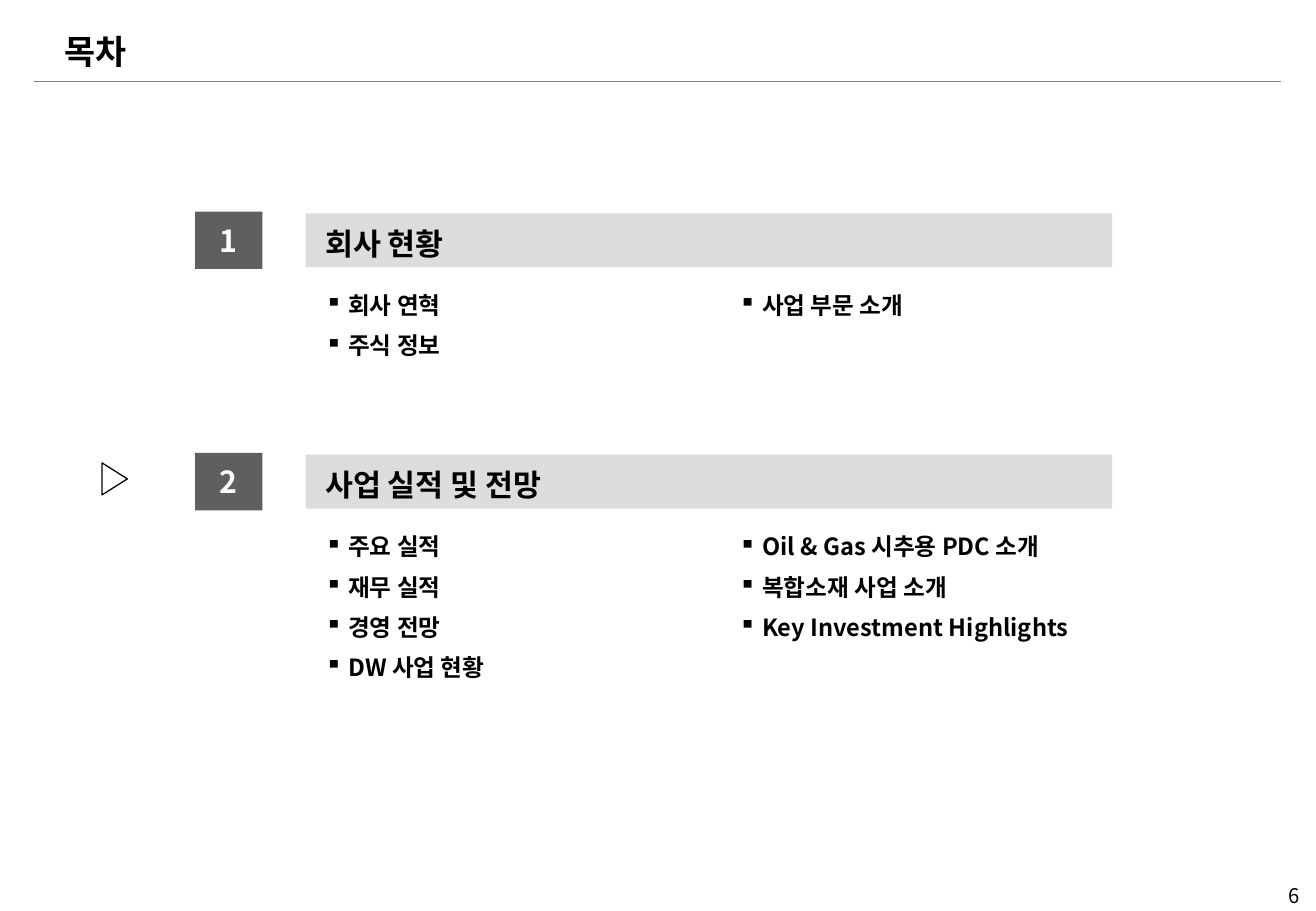
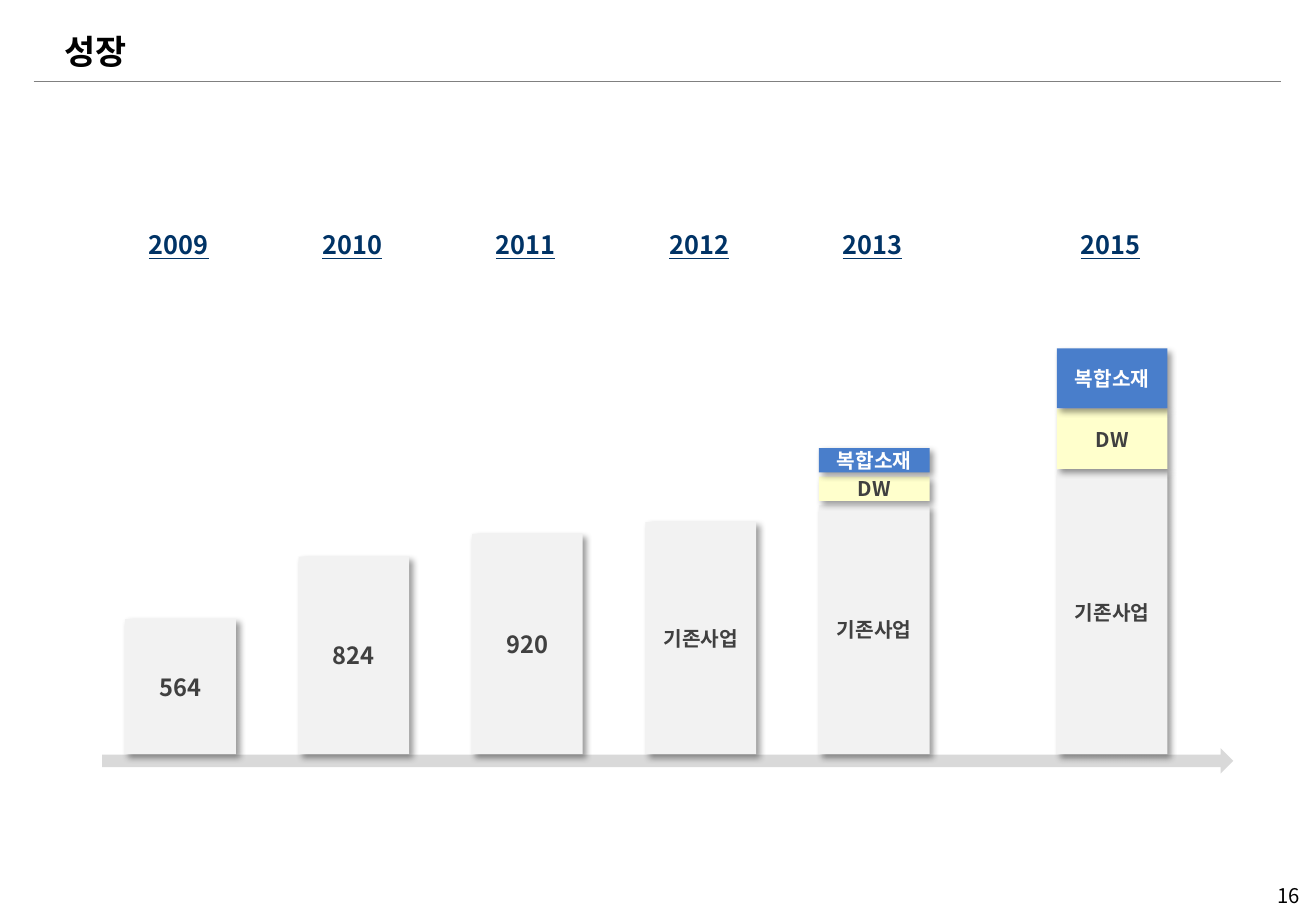
from lxml import etree
from pptx import Presentation
from pptx.dml.color import RGBColor
from pptx.enum.shapes import MSO_CONNECTOR, MSO_SHAPE
from pptx.enum.text import MSO_ANCHOR, PP_ALIGN
from pptx.oxml.ns import qn
from pptx.util import Pt

RECT, ARROW = MSO_SHAPE.RECTANGLE, MSO_SHAPE.RIGHT_ARROW
TRI, LINE = MSO_SHAPE.ISOSCELES_TRIANGLE, MSO_CONNECTOR.STRAIGHT
LEFT, MID, RIGHT = PP_ALIGN.LEFT, PP_ALIGN.CENTER, PP_ALIGN.RIGHT
TOP, CENTER = MSO_ANCHOR.TOP, MSO_ANCHOR.MIDDLE

FONT = "Noto Sans CJK KR"
BLACK = RGBColor(0x00, 0x00, 0x00)
WHITE = RGBColor(0xFF, 0xFF, 0xFF)
RULE = RGBColor(0x80, 0x80, 0x80)
DARK = RGBColor(0x5F, 0x5F, 0x5F)
BAND = RGBColor(0xDD, 0xDD, 0xDD)
AXIS = RGBColor(0xD9, 0xD9, 0xD9)
PALE = RGBColor(0xF2, 0xF2, 0xF2)
INK = RGBColor(0x40, 0x40, 0x40)
NAVY = RGBColor(0x00, 0x33, 0x66)
CREAM = RGBColor(0xFF, 0xFF, 0xCC)
BLUE = RGBColor(0x49, 0x7E, 0xCB)

SECTS = [
    ("1", "회사 현황", [["회사 연혁", "주식 정보"], ["사업 부문 소개"]]),
    ("2", "사업 실적 및 전망", [
        ["주요 실적", "재무 실적", "경영 전망", "DW 사업 현황"],
        ["Oil & Gas 시추용 PDC 소개", "복합소재 사업 소개",
         "Key Investment Highlights"]]),
]
BASE, DRILL, COMP = "기존사업", "DW", "복합소재"
LOOKS = {DRILL: (CREAM, INK), COMP: (BLUE, WHITE)}
# Year, left edge, gap between parts, parts from the bottom up
STEP = 102.8
BARS = [
    ("2009", 0, 0, [("564", 80)]),
    ("2010", STEP, 0, [("824", 117)]),
    ("2011", 2 * STEP, 0, [("920", 130.5)]),
    ("2012", 3 * STEP, 0, [(BASE, 137.5)]),
    ("2013", 4 * STEP, 2.5, [(BASE, 147.5), (DRILL, 14.4), (COMP, 14.4)]),
    ("2015", 552.2, 0.5, [(BASE, 168.5), (DRILL, 35.5), (COMP, 35.5)]),
]


def write(shape, lines, size, color, bold=True, align=LEFT, anchor=TOP,
          inset=(0, 0, 0, 0), wrap=True, under=None, bullet=False):
    frame = shape.text_frame
    frame.word_wrap = wrap
    frame.vertical_anchor = anchor
    (frame.margin_left, frame.margin_top,
     frame.margin_right, frame.margin_bottom) = map(Pt, inset)
    for i, text in enumerate(lines):
        para = frame.paragraphs[0] if i == 0 else frame.add_paragraph()
        para.alignment = align
        if i:
            para.space_before = Pt(size / 2)
        if bullet:
            props = para._p.get_or_add_pPr()
            props.set("marL", str(Pt(13.7)))
            props.set("indent", str(-Pt(13.7)))
            etree.SubElement(props, qn("a:buChar")).set("char", "▪")
        run = para.add_run()
        run.text = text
        font = run.font
        font.name, font.size = FONT, Pt(size)
        font.bold, font.underline = bold, under
        font.color.rgb = color
        etree.SubElement(font._element, qn("a:ea")).set("typeface", FONT)


def label(slide, box, lines, size, color, **style):
    shape = slide.shapes.add_textbox(*map(Pt, box))
    write(shape, lines, size, color, **style)


def block(slide, kind, box, fill):
    shape = slide.shapes.add_shape(kind, *map(Pt, box))
    shape.shadow.inherit = False
    shape.fill.solid()
    shape.fill.fore_color.rgb = fill
    shape.line.fill.background()
    return shape


def shade(shape):
    """Soft shadow falling to the lower right."""
    effects = shape._element.spPr.find(qn("a:effectLst"))
    outer = etree.SubElement(effects, qn("a:outerShdw"))
    for key, value in (("blurRad", Pt(4)), ("dist", Pt(3)),
                       ("dir", 45 * 60000), ("algn", "tl"),
                       ("rotWithShape", 0)):
        outer.set(key, str(value))
    tint = etree.SubElement(outer, qn("a:srgbClr"))
    tint.set("val", str(BLACK))
    etree.SubElement(tint, qn("a:alpha")).set("val", "40000")


def page(deck, title, number):
    """Blank slide with title, rule and page number."""
    slide = deck.slides.add_slide(deck.slide_layouts[6])
    rule = slide.shapes.add_connector(LINE, Pt(20), Pt(48.4), Pt(759), Pt(48.4))
    rule.line.color.rgb = RULE
    rule.line.width = Pt(1)
    etree.SubElement(rule._element.spPr, qn("a:effectLst"))
    label(slide, (38.2, 18, 722, 24), [title], 20, BLACK)
    label(slide, (607.7, 523.4, 162.7, 14.4), [number], 12, BLACK,
          bold=False, align=RIGHT)
    return slide


def section(slide, x, y, number, title, lists):
    tile = block(slide, RECT, (x, y, 40, 34), DARK)
    write(tile, [number], 18, WHITE, align=MID, anchor=CENTER, wrap=False)
    band = block(slide, RECT, (x + 65.6, y + 1, 478, 32), BAND)
    write(band, [title], 18, BLACK, anchor=CENTER, wrap=False,
          inset=(11.5, 5.8, 0, 2.9))
    for i, items in enumerate(lists):
        box = (x + 70 + 245.3 * i, y + 43.5, 229, 24 * len(items))
        label(slide, box, items, 14, BLACK, inset=(7.2, 3.6, 0, 3.6),
              bullet=True)


def marker(slide, x, y):
    tri = block(slide, TRI, (x, y, 19, 15), WHITE)
    tri.rotation = 90
    tri.line.color.rgb = BLACK
    tri.line.width = Pt(0.75)


def stack(slide, x, floor, gap, parts):
    """One year's bar, piled up from the floor."""
    for name, high in parts:
        fill, ink = LOOKS.get(name, (PALE, INK))
        bar = block(slide, RECT, (x, floor - high, 65.6, high), fill)
        shade(bar)
        write(bar, [name], 14 if name.isdigit() else 12, ink,
              align=MID, anchor=CENTER)
        floor -= high + gap


def growth(slide, x, y):
    """Years above, bars standing on a time arrow."""
    block(slide, ARROW, (x - 13.7, y + 311, 670.5, 15), AXIS)
    for year, left, gap, parts in BARS:
        label(slide, (x + left + 7, y, 42.5, 25), [year], 15, NAVY,
              align=MID, wrap=False, under=True, inset=(7.2, 3.6, 0, 3.6))
        stack(slide, x + left, y + 314.5, gap, parts)


def main():
    deck = Presentation()
    deck.slide_width, deck.slide_height = Pt(780), Pt(540)

    # Contents
    slide = page(deck, "목차", "6")
    for i, sect in enumerate(SECTS):
        section(slide, 115.6, 125.5 + 143 * i, *sect)
    marker(slide, 58.5, 276.4)

    # Growth
    growth(page(deck, "성장", "16"), 74.2, 132.5)
    deck.save("out.pptx")


if __name__ == "__main__":
    main()
